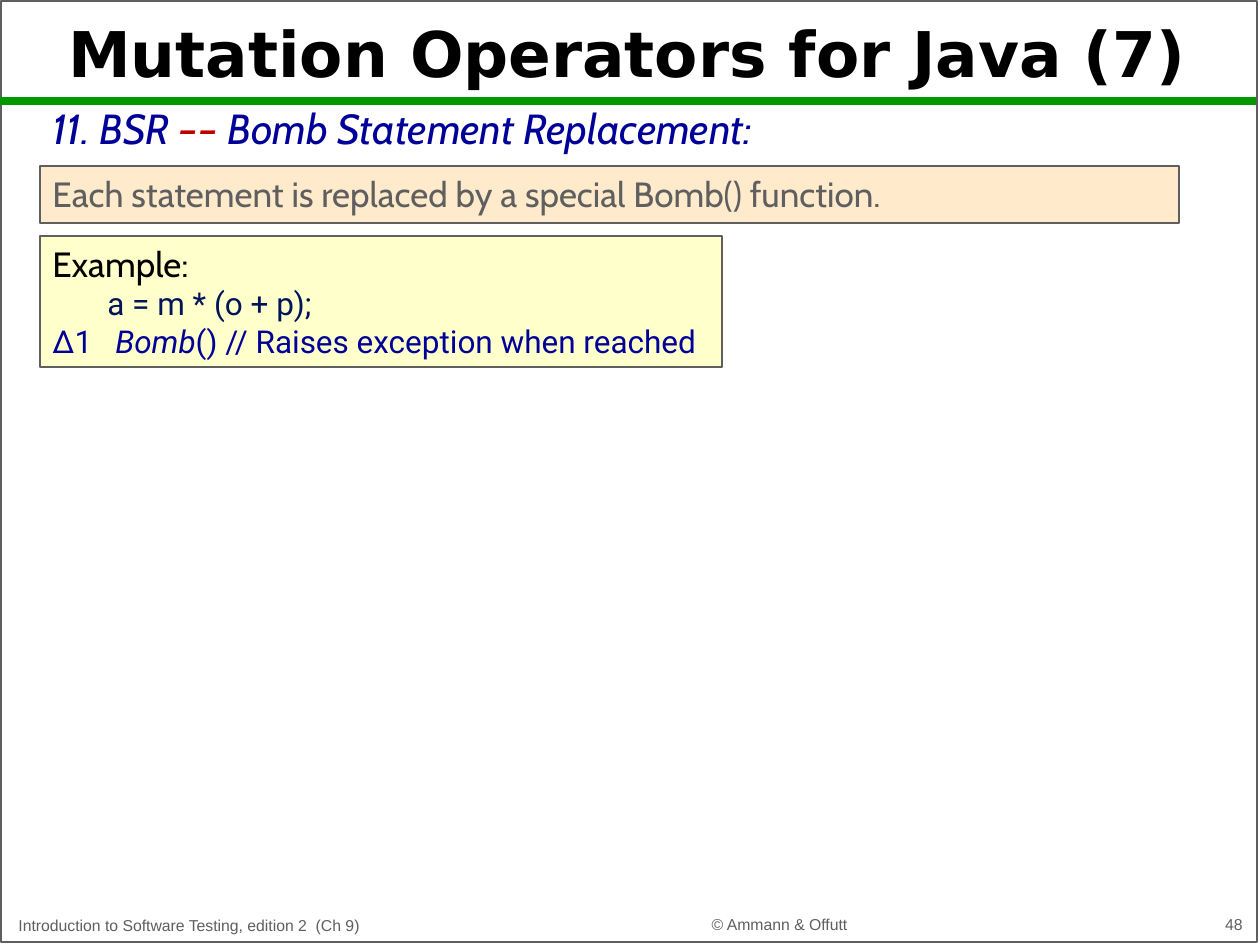
import pptx
import pptx.dml.color
import pptx.enum.shapes
import pptx.enum.text
import pptx.oxml
import pptx.oxml.ns
import pptx.util

RGBColor = pptx.dml.color.RGBColor
PP_ALIGN = pptx.enum.text.PP_ALIGN
ANCHOR = pptx.enum.text.MSO_ANCHOR

BLACK = RGBColor(0x00, 0x00, 0x00)
GRAY = RGBColor(0x5F, 0x5F, 0x5F)
GREEN = RGBColor(0x00, 0x99, 0x00)
BLUE = RGBColor(0x00, 0x00, 0x99)
NAVY = RGBColor(0x00, 0x14, 0x5A)
RED = RGBColor(0xC0, 0x00, 0x00)
PEACH = RGBColor(0xFF, 0xEB, 0xCC)
YELLOW = RGBColor(0xFF, 0xFF, 0xCC)

PX_PER_INCH = 126


def px(n):
    return pptx.util.Emu(round(n * 914400 / PX_PER_INCH))


def style(p, font, size, color, align=PP_ALIGN.LEFT):
    p.alignment = align
    p.font.name = font
    p.font.size = pptx.util.Pt(size)
    p.font.color.rgb = color


def add_runs(p, *texts):
    return [add_run(p, text) for text in texts]


def add_run(p, text):
    r = p.add_run()
    r.text = text
    return r


def set_indent(p, left, first=0):
    pPr = p._p.get_or_add_pPr()
    pPr.set("marL", str(px(left)))
    pPr.set("indent", str(px(first)))


def add_box(s, x, y, w, h, line_width, fill=None):
    sp = s.shapes.add_shape(pptx.enum.shapes.MSO_SHAPE.RECTANGLE,
                            px(x), px(y), px(w), px(h))
    sp.shadow.inherit = False
    if fill is None:
        sp.fill.background()
    else:
        sp.fill.solid()
        sp.fill.fore_color.rgb = fill
    sp.line.color.rgb = GRAY
    sp.line.width = pptx.util.Pt(line_width)
    tf = sp.text_frame
    tf.word_wrap = True
    tf.vertical_anchor = ANCHOR.TOP
    return tf


def add_text(s, x, y, w, h, anchor=ANCHOR.TOP):
    tf = s.shapes.add_textbox(px(x), px(y), px(w), px(h)).text_frame
    tf.word_wrap = True
    tf.vertical_anchor = anchor
    return tf


def add_rule(s, y, width):
    line = s.shapes.add_connector(pptx.enum.shapes.MSO_CONNECTOR.STRAIGHT,
                                  px(0), px(y), px(width), px(y))
    line.line.color.rgb = GREEN
    line.line.width = pptx.util.Pt(4.5)
    line._element.spPr.append(pptx.oxml.parse_xml(
        "<a:effectLst %s/>" % pptx.oxml.ns.nsdecls("a")))


def add_title(s, text):
    sp = s.shapes.title
    sp.left, sp.top, sp.width, sp.height = px(1), px(14), px(1252), px(87)
    tf = sp.text_frame
    tf.auto_size = pptx.enum.text.MSO_AUTO_SIZE.NONE
    tf.vertical_anchor = ANCHOR.MIDDLE
    p = tf.paragraphs[0]
    p.text = text
    p.line_spacing = 0.9
    style(p, "DejaVu Sans", 36, BLACK, PP_ALIGN.CENTER)
    p.font.bold = True


def add_footer(s, x, y, w, h, text, align):
    p = add_text(s, x, y, w, h, ANCHOR.BOTTOM).paragraphs[0]
    p.text = text
    style(p, "Arial", 9, GRAY, align)


def add_heading(s):
    p = add_text(s, 40, 96, 1090, 74).paragraphs[0]
    style(p, "Cabin", 24, BLUE)
    p.font.italic = True
    dash = add_runs(p, "11. BSR ", "––", " Bomb Statement Replacement:")[1]
    dash.font.color.rgb = RED


def add_rule_box(s):
    p = add_box(s, 40, 166, 1139, 57, 1.5, PEACH).paragraphs[0]
    p.text = "Each statement is replaced by a special Bomb() function."
    style(p, "Cabin", 20, GRAY)


def add_example(s):
    tf = add_box(s, 40, 236, 682, 131, 1.5, YELLOW)
    p = tf.paragraphs[0]
    p.text = "Example:"
    style(p, "Cabin", 20, BLACK)

    p = tf.add_paragraph()
    p.text = "a = m * (o + p);"
    style(p, "Roboto", 18, NAVY)
    set_indent(p, 55)

    # The mutant hangs its label to the left of the code
    p = tf.add_paragraph()
    style(p, "Roboto", 18, BLUE)
    set_indent(p, 63, -63)
    call = add_runs(p, "∆1\t", "Bomb",
                    "() // Raises exception when reached")[1]
    call.font.italic = True


def main():
    prs = pptx.Presentation()
    prs.slide_width = pptx.util.Inches(10)
    prs.slide_height = pptx.util.Inches(7.5)
    s = prs.slides.add_slide(prs.slide_layouts[5])

    # Frame and rule under the title
    add_box(s, 1, 1, 1256, 941, 1)
    add_rule(s, 101, 1256)

    # Footer
    add_footer(s, 6, 906, 548, 35,
               "Introduction to Software Testing, edition 2  (Ch 9)",
               PP_ALIGN.LEFT)
    add_footer(s, 580, 905, 399, 35, "© Ammann & Offutt", PP_ALIGN.CENTER)
    add_footer(s, 993, 904, 262, 36, "48", PP_ALIGN.RIGHT)

    # Content
    add_title(s, "Mutation Operators for Java (7)")
    add_heading(s)
    add_rule_box(s)
    add_example(s)

    prs.save("out.pptx")


if __name__ == "__main__":
    main()
